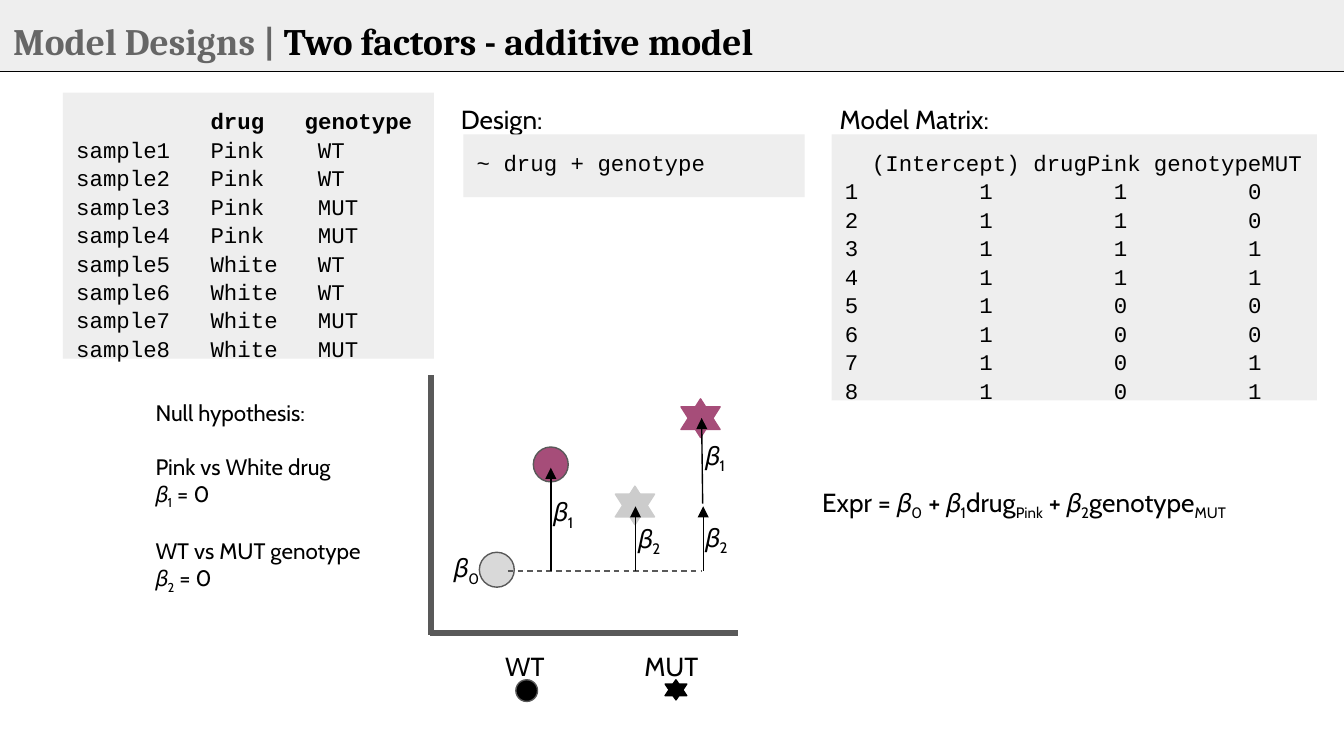
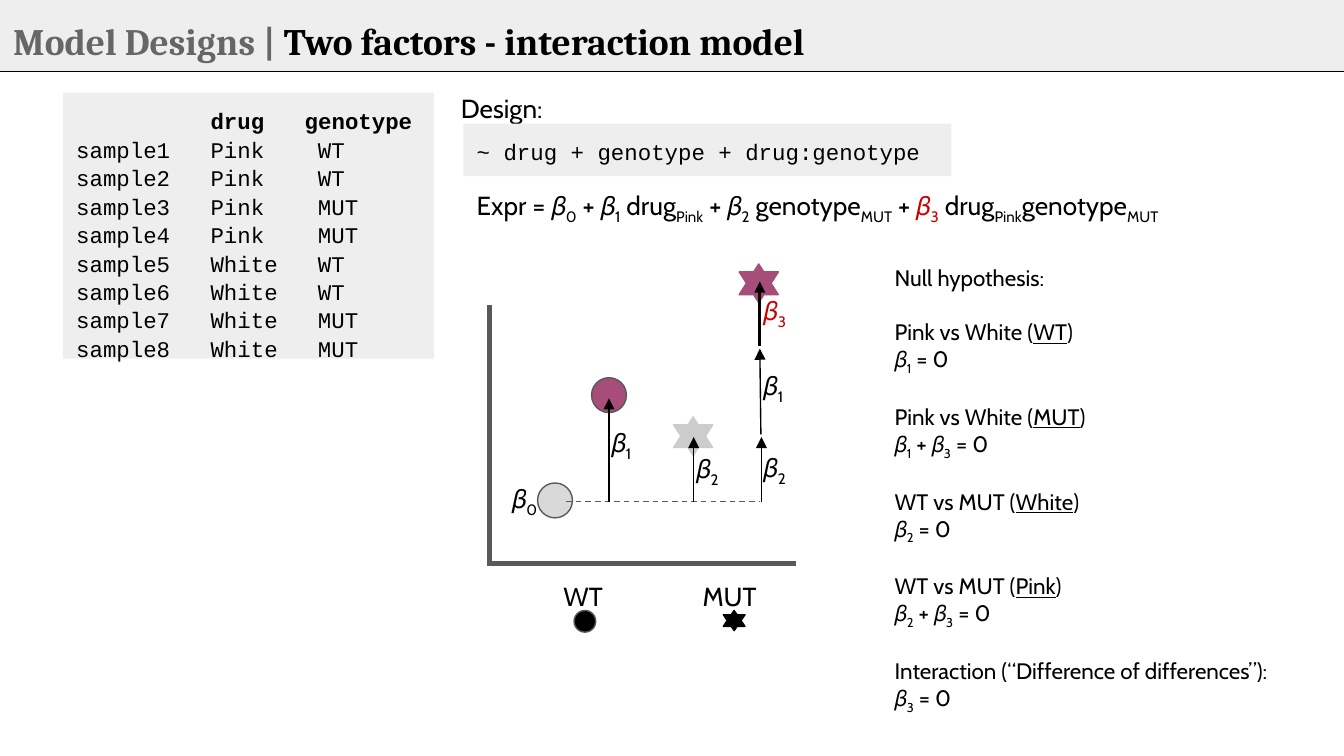
from dataclasses import dataclass

from lxml.etree import SubElement
from pptx import Presentation
from pptx.dml.color import RGBColor
from pptx.enum.dml import MSO_LINE_DASH_STYLE as Dash
from pptx.enum.shapes import MSO_CONNECTOR, MSO_SHAPE as Preset
from pptx.enum.text import MSO_ANCHOR as Anchor, PP_ALIGN as Align
from pptx.oxml.ns import qn
from pptx.util import Cm, Pt

BLACK, RED, PINK = "000000", "CC0000", "A64D79"
PANEL, SECTION_GREY, AXIS_GREY = "EEEEEE", "666666", "595959"
WHITE_DRUG, WHITE_DRUG_STAR = "D9D9D9", "CCCCCC"
BODY_FONT, TITLE_FONT, CODE_FONT = "Cabin", "Cambria", "Courier New"
INSET = 0.25
BASELINE = -1.17

SAMPLES = ["\tdrug\tgenotype"] + [
    f"sample{4 * d + 2 * g + n}\t{drug}\t{genotype}"
    for d, drug in enumerate(("Pink", "White"))
    for g, genotype in enumerate(("WT", "MUT"))
    for n in (1, 2)
]
MODEL_MATRIX = ["\t(Intercept)\tdrugPink\tgenotypeMUT"] + [
    f"{n + 1}\t1\t{int(n < 4)}\t{n // 2 % 2}" for n in range(8)
]


@dataclass
class Box:
    """Left, top, width and height in centimetres."""
    left: float
    top: float
    width: float
    height: float

    def lengths(self) -> list:
        return [Cm(v) for v in (self.left, self.top, self.width, self.height)]


@dataclass
class Point:
    """A drawn group mean, placed from the corner of the axes."""
    x: float
    y: float
    width: float
    fill: str
    height: float = 0
    drop: float = 0


@dataclass
class Label:
    x: float
    y: float
    markup: str


@dataclass
class Effect:
    """An arrow for one coefficient."""
    x1: float
    y1: float
    x2: float
    y2: float
    weight: float = 0.75


CIRCLES = [
    Point(0.91, -1.52, 0.66, WHITE_DRUG),
    Point(1.93, -3.51, 0.66, PINK),
    Point(1.6, 0.89, 0.41, BLACK),
]
WHITE_STAR = Point(3.48, -2.77, 0.74, WHITE_DRUG_STAR, 0.58, 0.15)
MUT_STAR = Point(4.42, 0.89, 0.41, BLACK, 0.3, 0.08)
EFFECTS = [
    Effect(2.26, BASELINE, 2.26, -3.12),
    Effect(3.86, BASELINE, 3.86, -2.39),
    Effect(5.14, BASELINE, 5.14, -2.39),
    Effect(5.13, -2.44, 5.11, -4.06),
]
INTERACTION_EFFECT = Effect(5.11, -4.11, 5.11, -5.33, 1.5)
COEFFICIENTS = [
    Label(0.18, -1.78, "𝛽|_0"),
    Label(2.06, -2.84, "𝛽|_1"),
    Label(3.66, -2.34, "𝛽|_2"),
    Label(4.93, -2.36, "𝛽|_2"),
    Label(4.93, -3.91, "𝛽|_1"),
]
INTERACTION_COEFFICIENT = Label(4.93, -5.33, "!𝛽|!_3")
GENOTYPES = [Label(0.74, 0.08, "WT"), Label(3.51, 0.08, "MUT")]


def color(value: str) -> RGBColor:
    return RGBColor.from_string(value)


def paint(shape, fill: str, outline: str | None = None) -> None:
    shape.shadow.inherit = False
    shape.fill.solid()
    shape.fill.fore_color.rgb = color(fill)
    if outline:
        shape.line.color.rgb = color(outline)
        shape.line.width = Pt(0.75)
    else:
        shape.line.fill.background()


def prepare_frame(frame) -> None:
    frame.word_wrap = True
    frame.vertical_anchor = Anchor.TOP
    frame.margin_left = frame.margin_right = Cm(INSET)
    frame.margin_top = frame.margin_bottom = Cm(INSET)


def set_font(font, name: str, size: float, fill: str = BLACK) -> None:
    font.name, font.size = name, Pt(size)
    font.color.rgb = color(fill)


def add_runs(paragraph, markup: str) -> None:
    """Split markup at |; a piece may start with ! red, ~ underlined, _ subscript."""
    for piece in markup.split("|"):
        text = piece.lstrip("!~_")
        marks = piece[:len(piece) - len(text)]
        run = paragraph.add_run()
        run.text = text
        if "!" in marks:
            run.font.color.rgb = color(RED)
        if "~" in marks:
            run.font.underline = True
        if "_" in marks:
            run.font._element.set("baseline", "-25000")


def add_text(slide, box: Box, markup: str, size: float = 14, align=Align.LEFT):
    frame = slide.shapes.add_textbox(*box.lengths()).text_frame
    prepare_frame(frame)
    paragraph = frame.paragraphs[0]
    paragraph.alignment = align
    set_font(paragraph.font, BODY_FONT, size)
    add_runs(paragraph, markup)
    return frame


def add_hypotheses(slide, box: Box, hypotheses: list[tuple[str, str]]) -> None:
    frame = add_text(slide, box, "Null hypothesis:", 12)
    for question, equation in hypotheses:
        for markup, gap in ((question, 14.6), (equation, 0)):
            paragraph = frame.add_paragraph()
            paragraph.space_before = Pt(gap)
            set_font(paragraph.font, BODY_FONT, 12)
            add_runs(paragraph, markup)


def set_tabs(paragraph, stops: list[float]) -> None:
    tab_list = SubElement(paragraph._p.get_or_add_pPr(), qn("a:tabLst"))
    for stop in stops:
        SubElement(tab_list, qn("a:tab"), pos=str(Cm(stop)), algn="l")


def add_code(slide, box: Box, lines: list[str], head_tabs: list[float] = (),
             row_tabs: list[float] = (), bold_head: bool = False) -> None:
    panel = slide.shapes.add_shape(Preset.RECTANGLE, *box.lengths())
    paint(panel, PANEL)
    frame = panel.text_frame
    prepare_frame(frame)
    for n, line in enumerate(lines):
        paragraph = frame.add_paragraph() if n else frame.paragraphs[0]
        paragraph.alignment = Align.LEFT
        paragraph.line_spacing = 1.06
        if "\t" in line:
            set_tabs(paragraph, row_tabs if n else head_tabs)
        set_font(paragraph.font, CODE_FONT, 12)
        paragraph.font.bold = bold_head and n == 0
        paragraph.add_run().text = line


def add_line(slide, x1: float, y1: float, x2: float, y2: float,
             stroke: str = BLACK, weight: float = 0.75):
    line = slide.shapes.add_connector(
        MSO_CONNECTOR.STRAIGHT, Cm(x1), Cm(y1), Cm(x2), Cm(y2))
    line.line.color.rgb = color(stroke)
    line.line.width = Pt(weight)
    SubElement(line._element.spPr, qn("a:effectLst"))
    return line


def add_star(slide, x: float, y: float, star: Point) -> None:
    """Overlay an upright and an upside-down triangle."""
    group = slide.shapes.add_group_shape()
    for drop, rotation in ((0, 0), (star.drop, 180)):
        box = Box(x + star.x, y + star.y + drop, star.width, star.height)
        triangle = group.shapes.add_shape(Preset.ISOSCELES_TRIANGLE, *box.lengths())
        triangle.rotation = rotation
        paint(triangle, star.fill, star.fill)


def add_plot(slide, x: float, y: float, interaction: bool = False) -> None:
    """Draw the group means with the corner of the axes at x, y."""
    add_line(slide, x - 0.03, y, x + 5.8, y, AXIS_GREY, 3)
    add_line(slide, x, y + 0.04, x, y - 4.88, AXIS_GREY, 3)
    for circle in CIRCLES:
        box = Box(x + circle.x, y + circle.y, circle.width, circle.width)
        dot = slide.shapes.add_shape(Preset.OVAL, *box.lengths())
        paint(dot, circle.fill, AXIS_GREY)
    pink_star = Point(4.72, -5.66 if interaction else -4.42, 0.74, PINK, 0.58, 0.15)
    for star in (WHITE_STAR, pink_star, MUT_STAR):
        add_star(slide, x, y, star)

    reference = add_line(slide, x + 1.45, y + BASELINE, x + 5.11, y + BASELINE, AXIS_GREY)
    reference.line.dash_style = Dash.DASH
    for effect in EFFECTS + [INTERACTION_EFFECT] * interaction:
        arrow = add_line(slide, x + effect.x1, y + effect.y1, x + effect.x2,
                         y + effect.y2, weight=effect.weight)
        SubElement(arrow.line._get_or_add_ln(), qn("a:tailEnd"), type="triangle")

    for label in COEFFICIENTS + [INTERACTION_COEFFICIENT] * interaction:
        add_text(slide, Box(x + label.x, y + label.y, 1.65, 1.45), label.markup)
    for label in GENOTYPES:
        add_text(slide, Box(x + label.x, y + label.y, 2.06, 1.12), label.markup,
                 align=Align.CENTER)


def move_header_to_layout(slide) -> None:
    """Give the slide's layout the header band, its rule and the title position."""
    layout = slide.slide_layout
    band = slide.shapes.add_shape(Preset.RECTANGLE, *Box(0, 0, 25.4, 1.35).lengths())
    paint(band, PANEL)
    rule = add_line(slide, 0, 1.35, 25.4, 1.35)
    for place, part in enumerate((band, rule), start=2):
        layout.shapes.element.insert(place, part._element)
    title = layout.placeholders[0]
    title.left, title.top, title.width, title.height = Box(0, 0.1, 23.67, 1.6).lengths()
    prepare_frame(title.text_frame)


def add_model_slide(prs, model: str):
    """Add a slide with its title and the sample table."""
    slide = prs.slides.add_slide(prs.slide_layouts[5])
    paragraph = slide.shapes.title.text_frame.paragraphs[0]
    paragraph.alignment = Align.LEFT
    paragraph.font.name, paragraph.font.size = TITLE_FONT, Pt(20)
    paragraph.font.bold = True
    for text, fill in (("Model Designs | ", SECTION_GREY), (model, BLACK)):
        run = paragraph.add_run()
        run.text = text
        run.font.color.rgb = color(fill)
    add_code(slide, Box(1.19, 1.75, 7.01, 5.03), SAMPLES,
             [2.54, 4.32], [2.54, 4.57], bold_head=True)
    return slide


def main() -> None:
    prs = Presentation()
    prs.slide_width, prs.slide_height = Cm(25.4), Cm(14.29)

    additive = add_model_slide(prs, "Two factors - additive model")
    move_header_to_layout(additive)
    add_text(additive, Box(8.46, 1.7, 2.31, 1.19), "Design:")
    add_code(additive, Box(8.76, 2.54, 6.45, 1.19), ["~ drug + genotype"])
    add_text(additive, Box(15.62, 1.7, 4.95, 1.19), "Model Matrix:")
    add_code(additive, Box(15.72, 2.54, 9.17, 5.03), MODEL_MATRIX,
             [0.51, 3.56, 5.84], [2.54, 5.08, 7.62])
    add_text(additive, Box(15.29, 8.94, 8.41, 1.19),
             "Expr = 𝛽|_0| + 𝛽|_1|drug|_Pink| + 𝛽|_2|genotype|_MUT")
    add_plot(additive, 8.15, 11.96)
    add_hypotheses(additive, Box(2.69, 7.29, 5.69, 4.42), [
        ("Pink vs White drug", "𝛽|_1| = 0"),
        ("WT vs MUT genotype", "𝛽|_2| = 0"),
    ])

    interaction = add_model_slide(prs, "Two factors - interaction model")
    add_text(interaction, Box(8.46, 1.5, 2.31, 1.19), "Design:")
    add_code(interaction, Box(8.76, 2.34, 9.22, 0.99),
             ["~ drug + genotype + drug:genotype"])
    add_text(interaction, Box(8.76, 3.33, 15.62, 1.45),
             "Expr = 𝛽|_0| + 𝛽|_1| drug|_Pink| + 𝛽|_2| genotype|_MUT| + "
             "|!𝛽|!_3| drug|_Pink|genotype|_MUT")
    add_plot(interaction, 9.25, 10.65, interaction=True)
    add_hypotheses(interaction, Box(16.66, 4.75, 8.15, 8.97), [
        ("Pink vs White (|~WT|)", "𝛽|_1| = 0"),
        ("Pink vs White (|~MUT|)", "𝛽|_1| + 𝛽|_3| = 0"),
        ("WT vs MUT (|~White|)", "𝛽|_2| = 0"),
        ("WT vs MUT (|~Pink|)", "𝛽|_2| + 𝛽|_3| = 0"),
        ("Interaction (“Difference of differences”):", "𝛽|_3| = 0"),
    ])

    prs.save("out.pptx")


if __name__ == "__main__":
    main()
